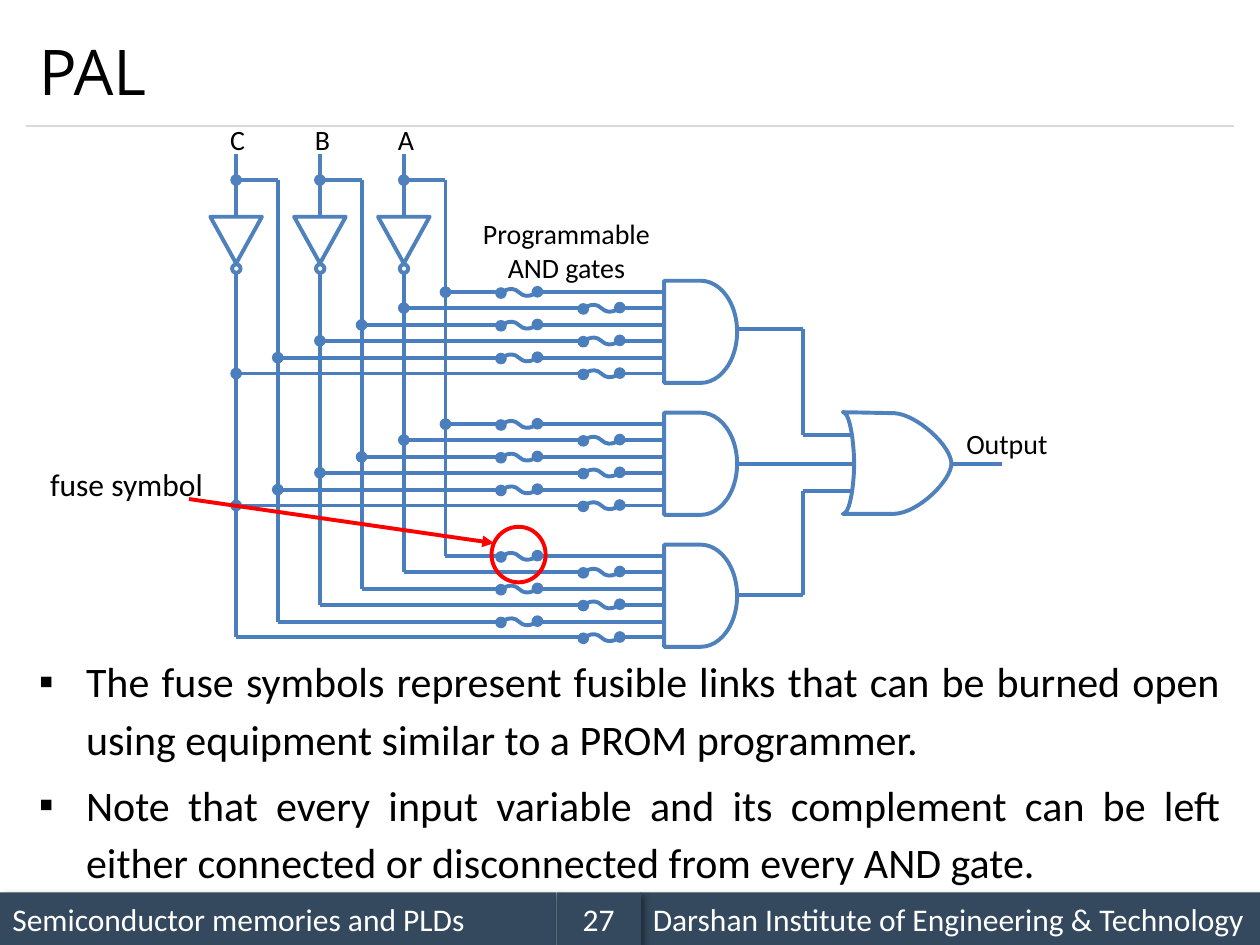
from dataclasses import dataclass

from lxml.etree import SubElement
from pptx import Presentation
from pptx.dml.color import RGBColor
from pptx.enum.shapes import MSO_CONNECTOR, MSO_SHAPE
from pptx.enum.text import MSO_ANCHOR, MSO_AUTO_SIZE, PP_ALIGN
from pptx.oxml.ns import qn
from pptx.util import Cm, Pt


@dataclass
class Theme:
    ink = RGBColor(0, 0, 0)
    white = RGBColor(255, 255, 255)
    slate = RGBColor(0x34, 0x49, 0x5E)
    rule = RGBColor(0xD9, 0xD9, 0xD9)
    gate = RGBColor(0x4F, 0x81, 0xBD)
    wire = RGBColor(0x4B, 0x7E, 0xBC)
    red = RGBColor(255, 0, 0)
    sans = "Calibri"
    head = "Open Sans"
    big = Pt(36)
    body = Pt(24)
    note = Pt(18)
    label = Pt(16)
    stroke = Pt(2.25)


theme = Theme()
deck = Presentation()
deck.slide_width, deck.slide_height = Cm(25.4), Cm(19.05)
slide = deck.slides.add_slide(deck.slide_layouts[1])
shapes = slide.shapes


def wire(x1, y1, x2, y2, color=theme.wire, head=None, tail=None,
         kind=MSO_CONNECTOR.STRAIGHT, width=theme.stroke):
    line = shapes.add_connector(kind, Cm(x1), Cm(y1), Cm(x2), Cm(y2))
    line.line.color.rgb = color
    line.line.width = width
    props = line.element.spPr
    for tag, end in (("a:headEnd", head), ("a:tailEnd", tail)):
        if end:
            SubElement(props.find(qn("a:ln")), qn(tag), type=end)
    SubElement(props, qn("a:effectLst"))
    return line


def style(para, size, color=theme.ink, face=theme.sans, align=PP_ALIGN.LEFT):
    para.alignment = align
    para.font.size = size
    para.font.name = face
    para.font.color.rgb = color


title = shapes.title
title.left, title.top, title.width, title.height = Cm(0.53), Cm(0.3), Cm(24.33), Cm(2.24)
title.text_frame.text = "PAL"
title.text_frame.vertical_anchor = MSO_ANCHOR.MIDDLE
style(title.text_frame.paragraphs[0], theme.big, face=theme.head)

body = slide.placeholders[1]
body.left, body.top, body.width, body.height = Cm(0.53), Cm(12.95), Cm(24.33), Cm(5.51)
frame = body.text_frame
frame.text = "\n".join((
    "The fuse symbols represent fusible links that can be burned open using equipment similar to a PROM programmer.",
    "Note that every input variable and its complement can be left either connected or disconnected from every AND gate.",
))
frame.auto_size = MSO_AUTO_SIZE.NONE
for para, gap in zip(frame.paragraphs, (0, 4.8)):
    props = para._p.get_or_add_pPr()
    props.set("marL", str(Cm(0.95)))
    props.set("indent", str(-Cm(0.95)))
    SubElement(props, qn("a:buChar"), char="▪")
    para.line_spacing = 1.14
    para.space_before = Pt(gap)
    style(para, theme.body, align=PP_ALIGN.JUSTIFY)

wire(0.53, 2.54, 24.87, 2.54, theme.rule, width=Pt(0.75))
for text, x, wide, align in (
    ("Semiconductor memories and PLDs", 0, 11.22, PP_ALIGN.LEFT),
    ("Darshan Institute of Engineering & Technology", 12.91, 12.49, PP_ALIGN.LEFT),
    ("27", 11.22, 1.7, PP_ALIGN.CENTER),
):
    bar = shapes.add_shape(MSO_SHAPE.RECTANGLE, Cm(x), Cm(17.99), Cm(wide), Cm(1.06))
    bar.fill.solid()
    bar.fill.fore_color.rgb = theme.slate
    bar.line.fill.background()
    bar.shadow.inherit = False
    shade = SubElement(bar.element.spPr.find(qn("a:effectLst")), qn("a:outerShdw"),
                       blurRad=str(Pt(4)), dist=str(Pt(3)), dir="2700000")
    tint = SubElement(shade, qn("a:srgbClr"), val=str(theme.ink))
    SubElement(tint, qn("a:alpha"), val="40000")
    bar.text_frame.text = text
    bar.text_frame.vertical_anchor = MSO_ANCHOR.MIDDLE
    style(bar.text_frame.paragraphs[0], theme.note, theme.white, align=align)

left, pitch, shift = 4.76, 1.69, 0.84
top, group, pair, half = 5.89, 2.66, 0.66, 0.32
gate, out = 13.39, 14.86
forms = []

for col in range(3):
    x = left + pitch * col
    low = top + 2 * group + pair * (2 - col)
    wire(x, 3.1, x, 4.37, theme.gate)
    wire(x + shift, 3.63, x, 3.63, theme.gate, tail="oval")
    wire(x + shift, 3.63, x + shift, low)
    wire(x, 5.51, x, low + half)
    forms += [(MSO_SHAPE.ISOSCELES_TRIANGLE, x - 0.52, 4.37, 1.04, 0.94, 180, theme.gate),
              (MSO_SHAPE.OVAL, x - 0.08, 5.33, 0.17, 0.17, 0, theme.gate)]

for bank in range(3):
    for col in range(3):
        for bus, drop, fuse in ((shift, 0, 10.1), (0, half, 11.76)):
            y = top + group * bank + pair * (2 - col) + drop
            wire(fuse, y, left + pitch * col + bus, y, tail="oval" if bank < 2 else None)
            link = wire(fuse + 0.63, y + 0.26, fuse + 0.1, y - 0.25, head="oval",
                        tail="oval", kind=MSO_CONNECTOR.CURVE)
            link.element.spPr.find(qn("a:xfrm")).set("rot", str(134 * 60000))
            wire(gate, y, fuse + 0.75, y)
    forms.append((MSO_SHAPE.FLOWCHART_DELAY, gate, 5.66 + group * bank, 1.47, 2.06, 0, theme.gate))

for start, end in ((6.63, 8.76), (11.99, 9.89)):
    wire(out, start, 16.18, start)
    wire(16.18, start, 16.18, end)
    wire(16.18, end, 17.2, end)
wire(out, 9.35, 17.22, 9.35)
wire(19.18, 9.35, 20.19, 9.35)

forms.append((MSO_SHAPE.OVAL, 9.91, 10.62, 1.09, 1.12, 0, theme.red))
drawn = []
for kind, x, y, wide, high, turn, color in forms:
    form = shapes.add_shape(kind, Cm(x), Cm(y), Cm(wide), Cm(high))
    form.rotation = turn
    drawn.append((form, color))

curves = (
    ((18.03, 8.33), (18.49, 8.36), (19.18, 8.99), (19.18, 9.35)),
    ((19.18, 9.35), (19.18, 9.68), (18.52, 10.34), (18.03, 10.36)),
    ((16.99, 10.36), (17.15, 10.36), (17.22, 9.7), (17.22, 9.35)),
    ((17.22, 9.35), (17.22, 9.02), (17.15, 8.31), (16.99, 8.31)),
)
points = []
for curve in curves:
    for step in range(17):
        t = step / 16
        parts = ((1 - t) ** 3, 3 * t * (1 - t) ** 2, 3 * t * t * (1 - t), t ** 3)
        points.append([Cm(sum(p * knot[axis] for p, knot in zip(parts, curve))) for axis in (0, 1)])
pen = shapes.build_freeform(Cm(16.99), Cm(8.31))
pen.add_line_segments(points, close=True)
drawn.append((pen.convert_to_shape(), theme.gate))

for form, color in drawn:
    form.fill.background()
    form.line.color.rgb = color
    form.line.width = theme.stroke
    form.shadow.inherit = False

for text, x, y, wide, high, size, align in (
    ("C", 4.39, 2.34, 0.64, 0.86, theme.label, PP_ALIGN.LEFT),
    ("B", 6.1, 2.34, 0.64, 0.86, theme.label, PP_ALIGN.LEFT),
    ("A", 7.77, 2.34, 0.64, 0.86, theme.label, PP_ALIGN.LEFT),
    ("Programmable AND gates", 9.4, 4.24, 4.04, 1.63, theme.label, PP_ALIGN.CENTER),
    ("Output", 19.23, 8.48, 2.3, 0.94, theme.label, PP_ALIGN.LEFT),
    ("fuse symbol", 0.76, 9.25, 3.8, 1.02, theme.note, PP_ALIGN.LEFT),
):
    box = shapes.add_textbox(Cm(x), Cm(y), Cm(wide), Cm(high))
    box.text_frame.word_wrap = True
    box.text_frame.text = text
    style(box.text_frame.paragraphs[0], size, align=align)

wire(3.81, 10.06, 9.96, 10.95, theme.red, tail="triangle")

deck.save("out.pptx")
